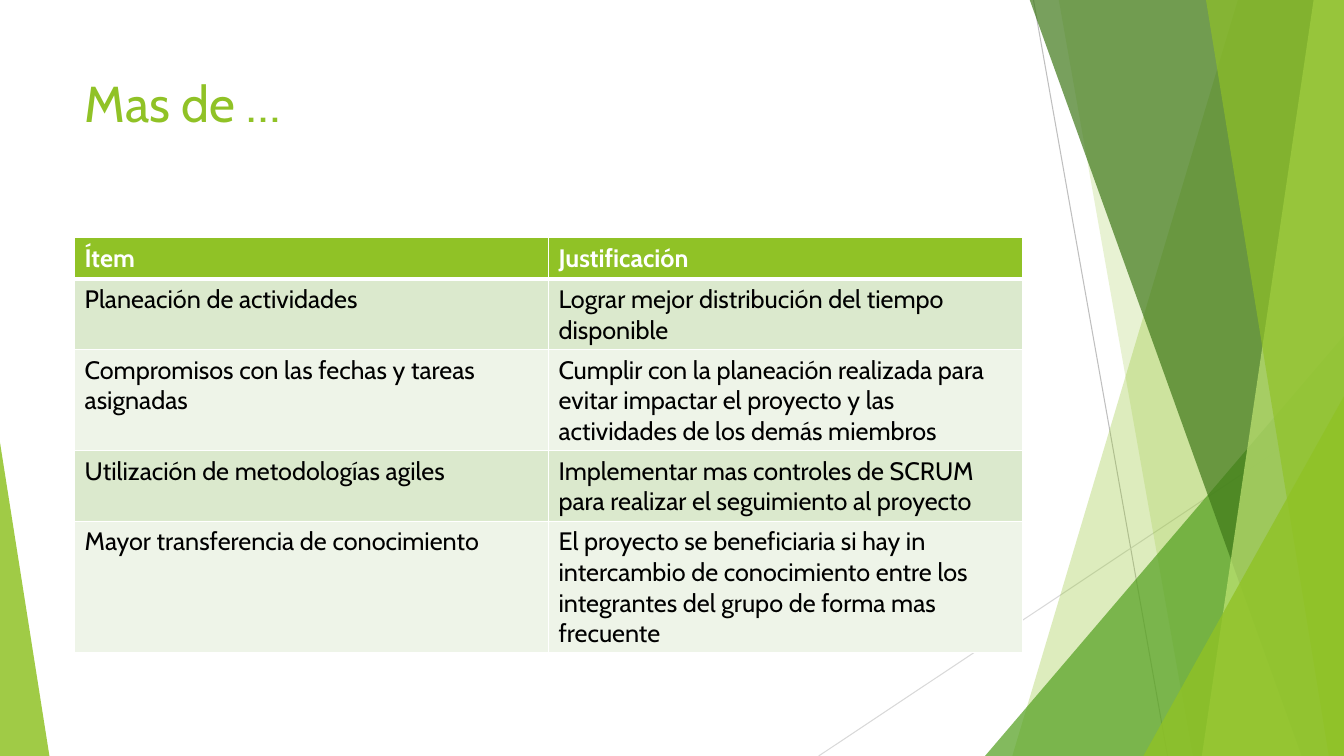
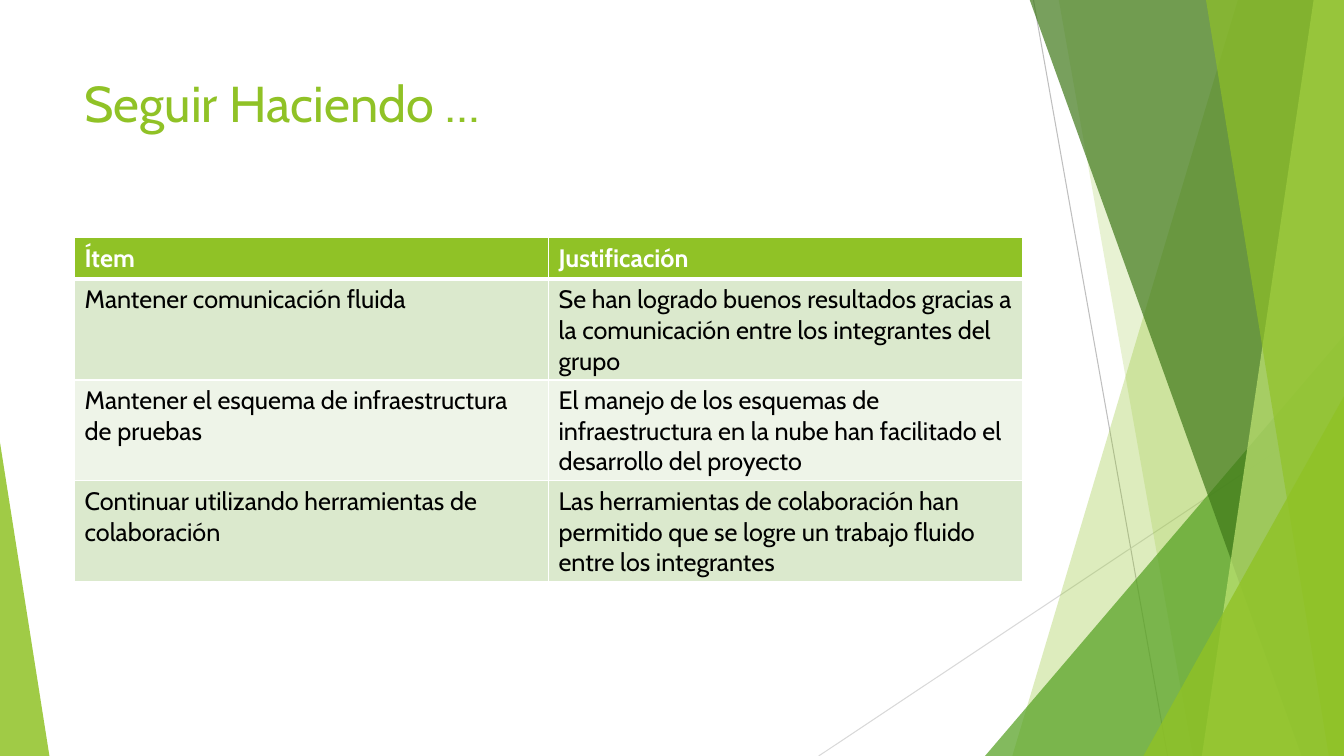
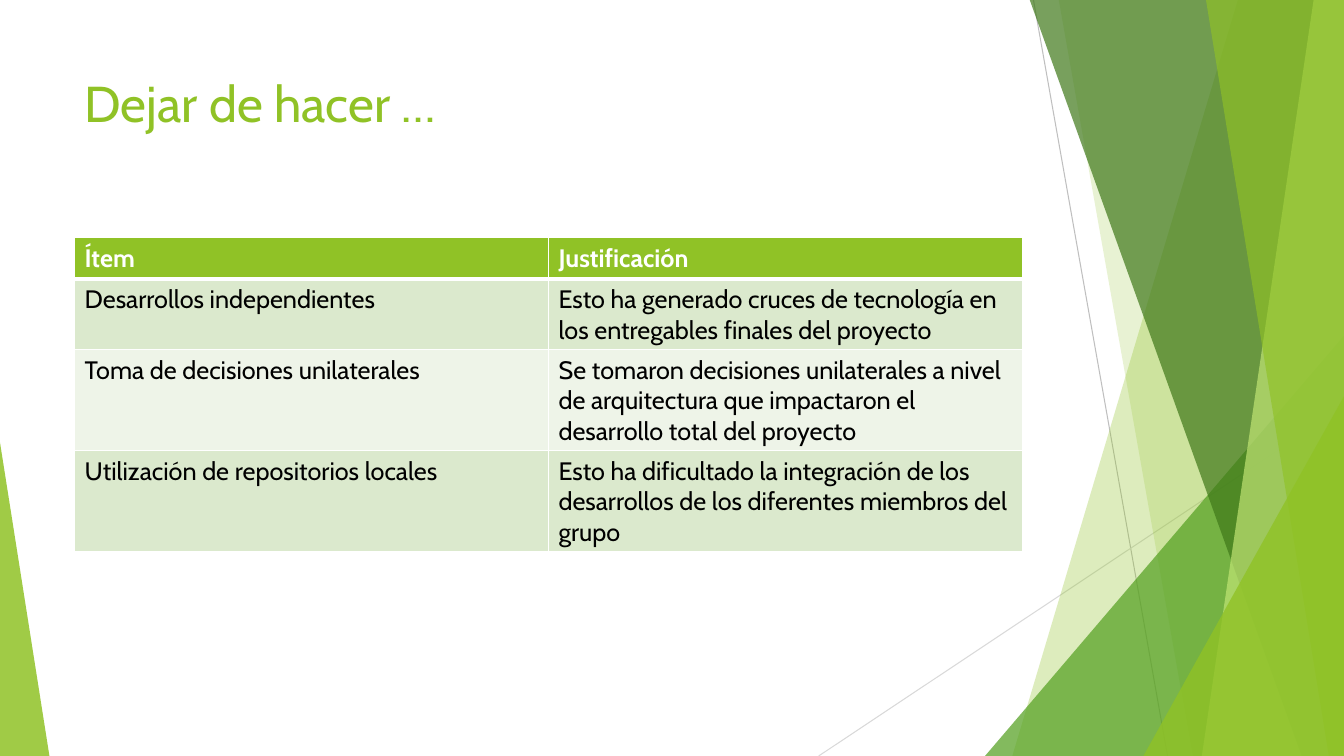
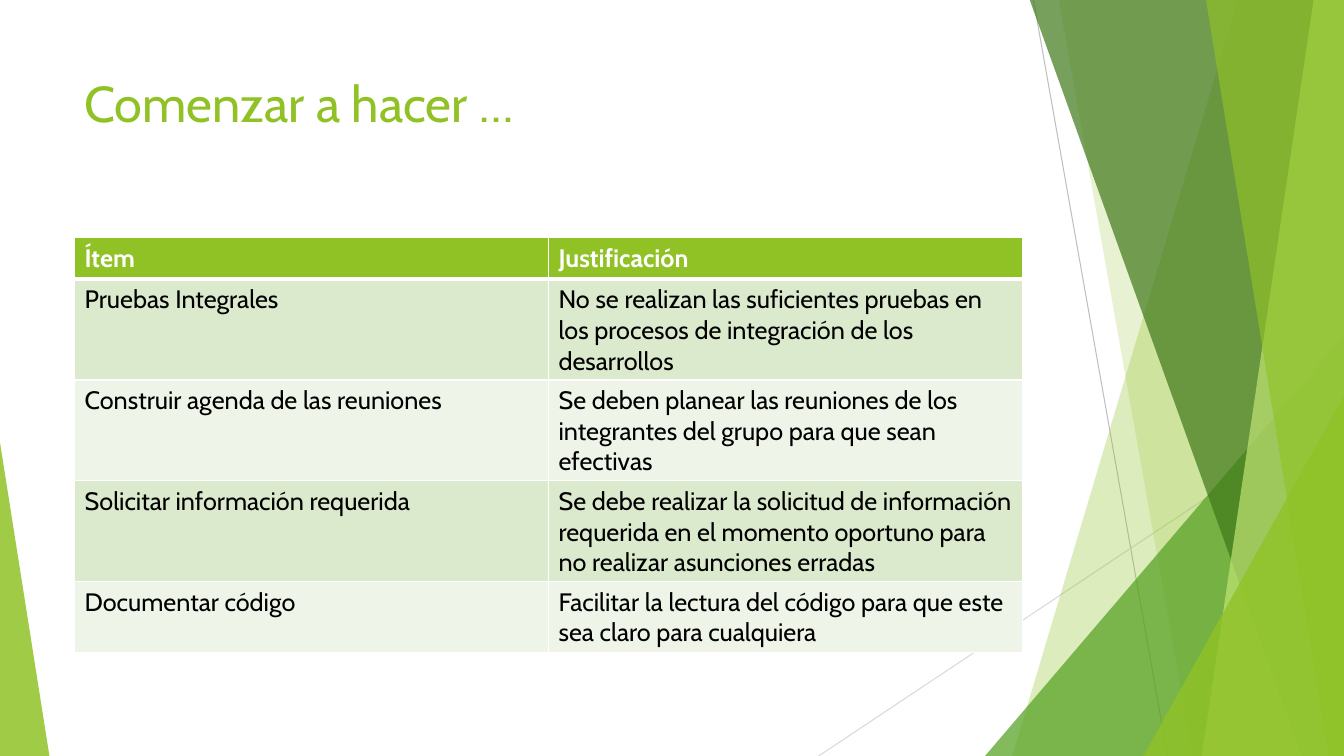
import pptx
import pptx.util
import pptx.dml.color
import pptx.enum.shapes
import pptx.oxml
import pptx.oxml.ns
from lxml import etree

Inches, Pt = pptx.util.Inches, pptx.util.Pt
RGBColor = pptx.dml.color.RGBColor
qn = pptx.oxml.ns.qn

FONT = "Cabin"
WHITE = RGBColor(0xFF, 0xFF, 0xFF)
BLACK = RGBColor(0x00, 0x00, 0x00)
LIME = RGBColor(0x90, 0xC2, 0x26)
GREEN = RGBColor(0x54, 0xA0, 0x21)
DARK_GREEN = RGBColor(0x3F, 0x78, 0x19)
PALE_LIME = RGBColor(0xC0, 0xE4, 0x74)
BANDS = (RGBColor(0xDB, 0xE9, 0xCD), RGBColor(0xEE, 0xF4, 0xE8))
GREY = RGBColor(0xBF, 0xBF, 0xBF)
LIGHT_GREY = RGBColor(0xD9, 0xD9, 0xD9)

SLIDE_W, SLIDE_H = 13.33, 7.5
BAND_TOP = -0.01
TITLE_BOX = (0.74, 0.67, 9.4, 1.44)
TABLE_BOX = (0.74, 2.36, 9.4)
ROW_H = 0.41
HEADER = ("Ítem", "Justificación")

RETROSPECTIVE = [
    ("Mas de …", [
        ("Planeación de actividades",
         "Lograr mejor distribución del tiempo disponible"),
        ("Compromisos con las fechas y tareas asignadas",
         "Cumplir con la planeación realizada para evitar impactar el proyecto "
         "y las actividades de los demás miembros"),
        ("Utilización de metodologías agiles",
         "Implementar mas controles de SCRUM para realizar el seguimiento al proyecto"),
        ("Mayor transferencia de conocimiento",
         "El proyecto se beneficiaria si hay in intercambio de conocimiento "
         "entre los integrantes del grupo de forma mas frecuente"),
    ]),
    ("Seguir Haciendo …", [
        ("Mantener comunicación fluida",
         "Se han logrado buenos resultados gracias a la comunicación "
         "entre los integrantes del grupo"),
        ("Mantener el esquema de infraestructura de pruebas",
         "El manejo de los esquemas de infraestructura en la nube "
         "han facilitado el desarrollo del proyecto"),
        ("Continuar utilizando herramientas de colaboración",
         "Las herramientas de colaboración han permitido que se logre "
         "un trabajo fluido entre los integrantes"),
    ]),
    ("Dejar de hacer …", [
        ("Desarrollos independientes",
         "Esto ha generado cruces de tecnología en los entregables finales del proyecto"),
        ("Toma de decisiones unilaterales",
         "Se tomaron decisiones unilaterales a nivel de arquitectura "
         "que impactaron el desarrollo total del proyecto"),
        ("Utilización de repositorios locales",
         "Esto ha dificultado la integración de los desarrollos "
         "de los diferentes miembros del grupo"),
    ]),
    ("Comenzar a hacer …", [
        ("Pruebas Integrales",
         "No se realizan las suficientes pruebas en los procesos "
         "de integración de los desarrollos"),
        ("Construir agenda de las reuniones",
         "Se deben planear las reuniones de los integrantes del grupo "
         "para que sean efectivas"),
        ("Solicitar información requerida",
         "Se debe realizar la solicitud de información requerida en el momento "
         "oportuno para no realizar asunciones erradas"),
        ("Documentar código",
         "Facilitar la lectura del código para que este sea claro para cualquiera"),
    ]),
]


def style_facet(sp, color, opacity):
    """Fill without outline or shadow; opacity is a percentage."""
    sp.shadow.inherit = False
    sp.line.fill.background()
    sp.fill.solid()
    sp.fill.fore_color.rgb = color
    clr = sp.fill._xPr.find(qn("a:solidFill"))[0]
    etree.SubElement(clr, qn("a:alpha")).set("val", str(opacity * 1000))


def add_line(s, x1, y1, x2, y2, color):
    line = s.shapes.add_connector(
        pptx.enum.shapes.MSO_CONNECTOR.STRAIGHT,
        Inches(x1), Inches(y1), Inches(x2), Inches(y2))
    line.line.color.rgb = color
    line.line.width = Pt(0.75)
    etree.SubElement(line._element.spPr, qn("a:effectLst"))


def add_band(s, top_x, bottom_x, color, opacity):
    """Full-height band from a slanted left edge to the slide's right edge."""
    fb = s.shapes.build_freeform(Inches(top_x), Inches(BAND_TOP))
    fb.add_line_segments([
        (Inches(x), Inches(y)) for x, y in
        ((SLIDE_W, BAND_TOP), (SLIDE_W, SLIDE_H), (bottom_x, SLIDE_H))])
    style_facet(fb.convert_to_shape(), color, opacity)


def add_corner(s, x, y, w, apex, color, opacity):
    """Triangle standing on the slide's bottom edge; apex 0 is left, 1 right."""
    sp = s.shapes.add_shape(
        pptx.enum.shapes.MSO_SHAPE.ISOSCELES_TRIANGLE,
        Inches(x), Inches(y), Inches(w), Inches(SLIDE_H - y))
    sp.adjustments[0] = apex
    style_facet(sp, color, opacity)


def add_facets(s):
    add_line(s, 10.25, 0, 11.58, SLIDE_H, GREY)
    add_line(s, SLIDE_W, 4.03, 8.12, SLIDE_H, LIGHT_GREY)
    add_band(s, 12.28, 10.04, LIME, 30)
    add_band(s, 10.5, 11.83, LIME, 20)
    add_corner(s, 9.77, 3.33, 3.56, 1, GREEN, 72)
    add_band(s, 10.21, 12.91, DARK_GREEN, 70)
    add_band(s, 13.03, 11.92, PALE_LIME, 70)
    add_band(s, 11.96, 13.18, LIME, 65)
    add_corner(s, 11.34, 3.93, 1.99, 1, LIME, 80)
    add_corner(s, 0, 4.39, 0.49, 0, LIME, 85)


def format_text(tf, size, color, bold=False):
    for p in tf.paragraphs:
        for r in p.runs:
            r.font.name = FONT
            r.font.size = Pt(size)
            r.font.bold = bold
            r.font.color.rgb = color


def add_title(s, box, text):
    tf = s.shapes.add_textbox(*map(Inches, box)).text_frame
    tf.word_wrap = True
    tf.text = text
    format_text(tf, 36, LIME)


def set_borders(cell, top, bottom):
    """White cell borders; top and bottom widths are in points."""
    tcPr = cell._tc.get_or_add_tcPr()
    for side, width in (("L", 1), ("R", 1), ("T", top), ("B", bottom)):
        ln = etree.SubElement(tcPr, qn("a:ln" + side), w=str(Pt(width)))
        fill = etree.SubElement(ln, qn("a:solidFill"))
        etree.SubElement(fill, qn("a:srgbClr"), val=str(WHITE))


def add_items_table(s, box, items):
    x, y, w = box
    rows = [HEADER] + items
    table = s.shapes.add_table(
        len(rows), len(HEADER), Inches(x), Inches(y),
        Inches(w), Inches(ROW_H * len(rows))).table
    table.horz_banding = False
    for i, row in enumerate(rows):
        header = i == 0
        for j, text in enumerate(row):
            cell = table.cell(i, j)
            set_borders(cell, 3 if i == 1 else 1, 3 if header else 1)
            cell.fill.solid()
            cell.fill.fore_color.rgb = LIME if header else BANDS[(i - 1) % 2]
            cell.text_frame.text = text
            format_text(cell.text_frame, 18, WHITE if header else BLACK, header)


def add_retrospective_slide(prs, title, items):
    s = prs.slides.add_slide(prs.slide_layouts[6])
    add_facets(s)
    add_title(s, TITLE_BOX, title)
    add_items_table(s, TABLE_BOX, items)


def main():
    prs = pptx.Presentation()
    prs.slide_width, prs.slide_height = Inches(SLIDE_W), Inches(SLIDE_H)
    for title, items in RETROSPECTIVE:
        add_retrospective_slide(prs, title, items)
    prs.save("out.pptx")


if __name__ == "__main__":
    main()
